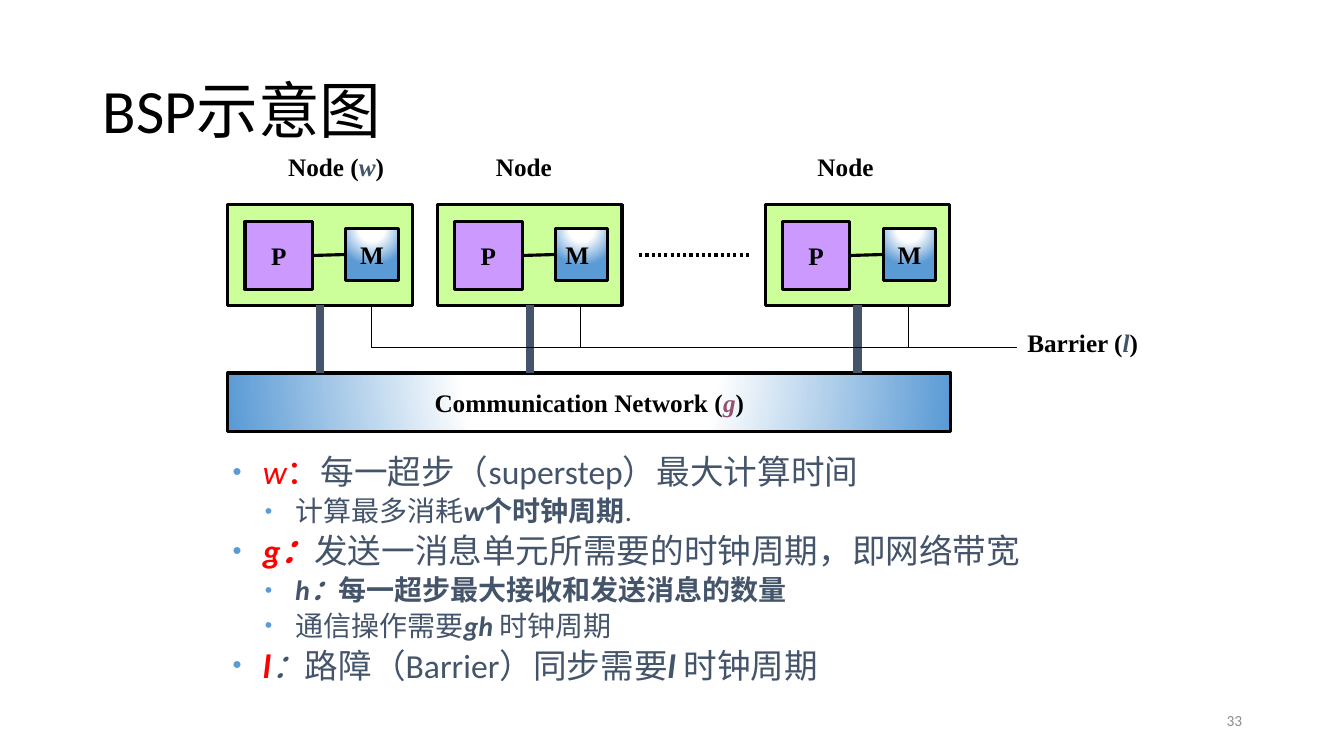
from dataclasses import dataclass

from lxml.etree import SubElement
from pptx import Presentation
from pptx.dml.color import RGBColor
from pptx.enum.dml import MSO_LINE
from pptx.enum.shapes import MSO_CONNECTOR, MSO_SHAPE
from pptx.enum.text import MSO_ANCHOR as ANCHOR, MSO_AUTO_SIZE as AUTO, PP_ALIGN as ALIGN
from pptx.oxml import parse_xml
from pptx.oxml.ns import nsdecls, qn
from pptx.util import Inches, Pt


@dataclass(frozen=True)
class Theme:
    black: str = "000000"
    white: str = "FFFFFF"
    slate: str = "44546A"
    blue: str = "5B9BD5"
    green: str = "CCFF99"
    violet: str = "CC99FF"
    plum: str = "954F72"
    red: str = "FF0000"
    gray: str = "8C8C8C"
    sans: str = "Calibri"
    serif: str = "Times New Roman"
    title: float = 44
    body: float = 24
    sub: float = 20
    label: float = 18
    number: float = 11
    border: float = 2.25
    stem: float = 6
    thin: float = 0.75


T = Theme()


def add_run(p, text, size=T.label, font=T.serif, color=T.black, bold=False, italic=False):
    r = p.add_run()
    r.text = text
    f = r.font
    f.size, f.name, f.bold, f.italic = Pt(size), font, bold, italic
    f.color.rgb = RGBColor.from_string(color)


def add_label(p, before, symbol="", after="", color=T.slate):
    """Bold diagram label with an optional italic symbol."""
    add_run(p, before, bold=True)
    if symbol:
        add_run(p, symbol, color=color, bold=True, italic=True)
        add_run(p, after, bold=True)


def add_text(s, x, y, w, h, wrap=True):
    tf = s.shapes.add_textbox(Inches(x), Inches(y), Inches(w), Inches(h)).text_frame
    tf.word_wrap = wrap
    if not wrap:
        tf.auto_size = AUTO.SHAPE_TO_FIT_TEXT
    return tf


def add_box(s, x, y, w, h, fill=None, align=ALIGN.CENTER):
    """Bordered rectangle; without a fill colour it gets the radial gradient."""
    sp = s.shapes.add_shape(MSO_SHAPE.RECTANGLE, Inches(x), Inches(y), Inches(w), Inches(h))
    sp.shadow.inherit = False
    if fill:
        sp.fill.solid()
        sp.fill.fore_color.rgb = RGBColor.from_string(fill)
    else:
        stops = "".join(f'<a:gs pos="{pos}"><a:srgbClr val="{c}"/></a:gs>'
                        for pos, c in ((0, T.white), (35000, T.white), (100000, T.blue)))
        geom = sp.element.spPr.find(qn("a:prstGeom"))
        geom.addnext(parse_xml(
            f'<a:gradFill {nsdecls("a")}><a:gsLst>{stops}</a:gsLst><a:path path="circle">'
            '<a:fillToRect l="50000" t="-80000" r="50000" b="180000"/></a:path></a:gradFill>'))
    sp.line.color.rgb = RGBColor.from_string(T.black)
    sp.line.width = Pt(T.border)
    tf = sp.text_frame
    tf.word_wrap = False
    tf.vertical_anchor = ANCHOR.MIDDLE
    tf.paragraphs[0].alignment = align
    return sp


def add_line(s, x1, y1, x2, y2, color=T.black, width=T.border):
    ln = s.shapes.add_connector(MSO_CONNECTOR.STRAIGHT,
                                Inches(x1), Inches(y1), Inches(x2), Inches(y2))
    ln.line.color.rgb = RGBColor.from_string(color)
    ln.line.width = Pt(width)
    SubElement(ln.element.spPr, qn("a:effectLst"))
    return ln


def add_title(s, x, y, w, h):
    sp = s.shapes.title
    sp.left, sp.top, sp.width, sp.height = (Inches(v) for v in (x, y, w, h))
    tf = sp.text_frame
    tf.vertical_anchor = ANCHOR.MIDDLE
    p = tf.paragraphs[0]
    p.alignment, p.line_spacing = ALIGN.LEFT, 0.9
    add_run(p, "BSP示意图", T.title, T.sans)


def add_node(s, x, y, w, h, stem, align):
    """Processor and memory in a node, with a stem down to the network."""
    node = add_box(s, x, y, w, h, T.green)
    cpu = add_box(s, x + 0.17, y + 0.17, 0.67, 0.67, T.violet)
    mem = add_box(s, x + 1.17, y + 0.24, 0.52, 0.51, align=align)
    for sp, letter in ((cpu, "P"), (mem, "M")):
        add_label(sp.text_frame.paragraphs[0], letter)
    link = add_line(s, x + 0.84, y + 0.5, x + 1.17, y + 0.5)
    link.begin_connect(cpu, 3)
    link.end_connect(mem, 1)
    mid = x + w / 2
    add_line(s, mid, y + h, mid, y + h + stem, T.slate, T.stem).begin_connect(node, 2)


def add_diagram(s, x, y, w):
    top, node_w, node_h, stem = y + 0.58, 1.83, 1, 0.67
    bottom = top + node_h
    barrier, tap, barrier_end = bottom + 0.42, 1.42, x + 7.83

    # Communication network
    net = add_box(s, x, bottom + stem, w, 0.58)
    add_label(net.text_frame.paragraphs[0], "Communication Network (", "g", ")", T.plum)

    # Nodes: offset, label offset, label width, label, memory alignment
    nodes = [(0, 0.5, 1.16, ("Node (", "w", ")"), ALIGN.CENTER),
             (2.08, 2.56, 0.76, ("Node",), ALIGN.LEFT),
             (5.33, 5.75, 0.76, ("Node",), ALIGN.CENTER)]
    for dx, label_dx, label_w, label, align in nodes:
        add_node(s, x + dx, top, node_w, node_h, stem, align)
        add_label(add_text(s, x + label_dx, y, label_w, 0.4, wrap=False).paragraphs[0], *label)
        add_line(s, x + dx + tap, bottom, x + dx + tap, barrier, width=T.thin)

    # Omitted nodes
    dots = add_line(s, x + 4.08, top + 0.5, x + 5.17, top + 0.5)
    dots.line.dash_style = MSO_LINE.ROUND_DOT

    # Barrier
    add_line(s, x + tap, barrier, barrier_end, barrier, width=T.thin)
    tf = add_text(s, barrier_end, barrier - 0.25, 1.31, 0.4, wrap=False)
    add_label(tf.paragraphs[0], "Barrier (", "l", ")")


def set_bullet(p, level, first):
    pPr = p._p.get_or_add_pPr()
    pPr.set("marL", str(Inches((0.38, 0.7)[level])))
    pPr.set("indent", str(Inches(-0.3)))
    if not first:
        SubElement(SubElement(pPr, qn("a:spcBef")), qn("a:spcPct"), val="20000")
    SubElement(SubElement(pPr, qn("a:buClr")), qn("a:srgbClr"), val=T.blue)
    SubElement(pPr, qn("a:buSzPct"), val="76000")
    SubElement(pPr, qn("a:buFont"), typeface="Arial")
    SubElement(pPr, qn("a:buChar"), char="•")
    p.level, p.line_spacing = level, 0.9


def add_notation(s, x, y, w, h):
    bold, strong = dict(bold=True), dict(bold=True, italic=True)
    key = dict(color=T.red, **strong)
    items = [
        (0, [("w", dict(color=T.red, italic=True)), ("：", dict(color=T.red)),
             ("每一超步（superstep）最大计算时间", {})]),
        (1, [("计算最多消耗", {}), ("w", strong), ("个时钟周期", bold), (".", {})]),
        (0, [("g：", key), ("发送一消息单元所需要的时钟周期，即网络带宽", {})]),
        (1, [("h：", strong), ("每一超步最大接收和发送消息的数量", bold)]),
        (1, [("通信操作需要", {}), ("gh ", strong), ("时钟周期", {})]),
        (0, [("l", key), ("：", dict(italic=True)), ("路障（Barrier）同步需要", {}),
             ("l ", strong), ("时钟周期", {})]),
    ]
    tf = add_text(s, x, y, w, h)
    for i, (level, runs) in enumerate(items):
        p = tf.add_paragraph() if i else tf.paragraphs[0]
        set_bullet(p, level, first=i == 0)
        for text, fmt in runs:
            add_run(p, text, (T.body, T.sub)[level], T.sans, **{"color": T.slate, **fmt})


def add_page_number(s, x, y, w, h):
    tf = add_text(s, x, y, w, h)
    tf.vertical_anchor = ANCHOR.MIDDLE
    p = tf.paragraphs[0]
    p.alignment = ALIGN.RIGHT
    add_run(p, "33", T.number, T.sans, T.gray)


def main():
    prs = Presentation()
    prs.slide_width, prs.slide_height = Inches(13.33), Inches(7.5)
    s = prs.slides.add_slide(prs.slide_layouts[5])
    add_title(s, 0.92, 0.4, 11.5, 1.45)
    add_diagram(s, 2.26, 1.45, 7.17)
    add_notation(s, 2.13, 4.47, 9.07, 2.58)
    add_page_number(s, 9.42, 6.95, 3, 0.4)
    prs.save("out.pptx")


if __name__ == "__main__":
    main()
